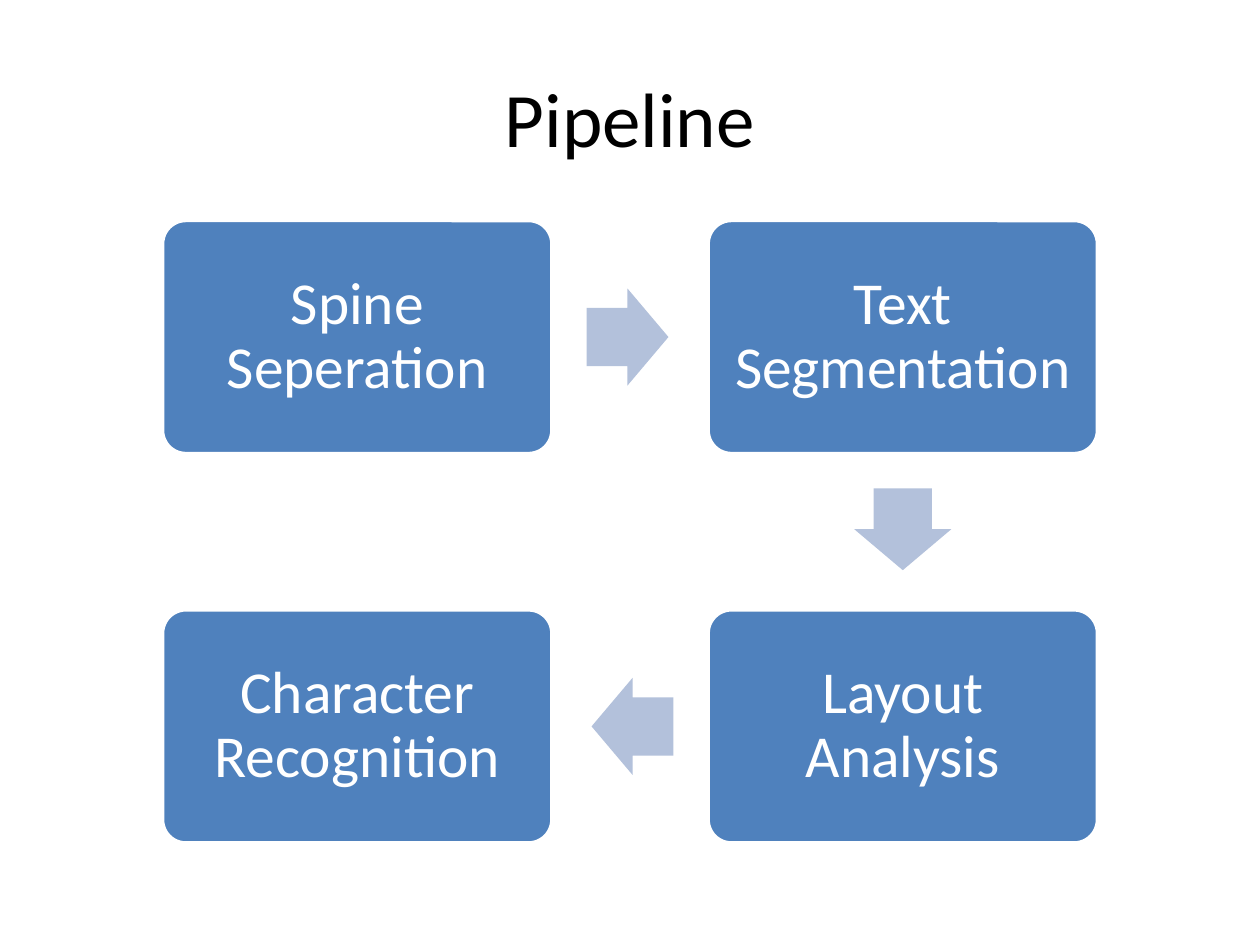
from dataclasses import dataclass

from pptx import Presentation
from pptx import util as u
from pptx.dml.color import RGBColor
from pptx.enum import shapes, text


@dataclass(frozen=True)
class Theme:
    font: str = "Calibri"
    title_size: int = 44
    step_size: int = 34
    title_color: str = "000000"
    step_color: str = "FFFFFF"
    step_fill: str = "4F81BD"
    step_line: str = "FFFFFF"
    arrow_fill: str = "B3C1DB"


THEME = Theme()
SLIDE_W, SLIDE_H = 10, 7.5
STEP_W, STEP_H = 3.09, 1.85
GRID_LEFT, GRID_TOP = 1.29, 1.75
GAP = 1.24
ARROW_W, ARROW_H = 0.65, 0.77
ARROW_LAG = 0.02  # arrows sit slightly nearer the step they leave

# Each step: wording, column, row
STEPS = [
    ("Spine Seperation", 0, 0),
    ("Text Segmentation", 1, 0),
    ("Layout Analysis", 1, 1),
    ("Character Recognition", 0, 1),
]


def rgb(color):
    return RGBColor.from_string(color)


def write(shape, wording, *, size, color, spacing=1.0, inset=0.1):
    frame = shape.text_frame
    frame.word_wrap = True
    frame.vertical_anchor = text.MSO_ANCHOR.MIDDLE
    frame.margin_left = frame.margin_right = u.Inches(inset)
    frame.margin_top = frame.margin_bottom = u.Inches(inset)
    paragraph = frame.paragraphs[0]
    paragraph.alignment = text.PP_ALIGN.CENTER
    paragraph.line_spacing = spacing
    run = paragraph.add_run()
    run.text = wording
    run.font.name = THEME.font
    run.font.size = u.Pt(size)
    run.font.color.rgb = rgb(color)


def step_center(column, row):
    return (GRID_LEFT + STEP_W / 2 + column * (STEP_W + GAP),
            GRID_TOP + STEP_H / 2 + row * (STEP_H + GAP))


def add_centered(slide, kind, center, width, height, fill, adjustments):
    """Add a filled preset shape around a centre point given in inches."""
    x, y = center
    shape = slide.shapes.add_shape(
        kind, u.Inches(x - width / 2), u.Inches(y - height / 2),
        u.Inches(width), u.Inches(height))
    shape.shadow.inherit = False
    shape.fill.solid()
    shape.fill.fore_color.rgb = rgb(fill)
    for index, value in enumerate(adjustments):
        shape.adjustments[index] = value
    return shape


def add_title(slide, wording):
    title = slide.shapes.add_textbox(
        u.Inches(0.05 * SLIDE_W), u.Inches(0.04 * SLIDE_H),
        u.Inches(0.9 * SLIDE_W), u.Inches(SLIDE_H / 6))
    write(title, wording, size=THEME.title_size, color=THEME.title_color)


def add_step(slide, wording, column, row):
    step = add_centered(slide, shapes.MSO_SHAPE.ROUNDED_RECTANGLE,
                        step_center(column, row), STEP_W, STEP_H,
                        THEME.step_fill, [0.1])
    step.line.color.rgb = rgb(THEME.step_line)
    step.line.width = u.Pt(2)
    write(step, wording, size=THEME.step_size, color=THEME.step_color,
          spacing=0.9, inset=0.14)


def add_arrow(slide, start, end):
    """Point from one (column, row) to the next, in the gap between them."""
    dx, dy = end[0] - start[0], end[1] - start[1]
    x, y = step_center((start[0] + end[0]) / 2, (start[1] + end[1]) / 2)
    arrow = add_centered(slide, shapes.MSO_SHAPE.RIGHT_ARROW,
                         (x - ARROW_LAG * dx, y - ARROW_LAG * dy),
                         ARROW_W, ARROW_H, THEME.arrow_fill, [0.6, 0.5])
    arrow.line.fill.background()
    arrow.rotation = {(1, 0): 0, (0, 1): 90, (-1, 0): 180}[dx, dy]


def main():
    deck = Presentation()
    deck.slide_width, deck.slide_height = u.Inches(SLIDE_W), u.Inches(SLIDE_H)
    slide = deck.slides.add_slide(deck.slide_layouts[6])
    add_title(slide, "Pipeline")
    for step in STEPS:
        add_step(slide, *step)
    for current, following in zip(STEPS, STEPS[1:]):
        add_arrow(slide, current[1:], following[1:])
    deck.save("out.pptx")


if __name__ == "__main__":
    main()
